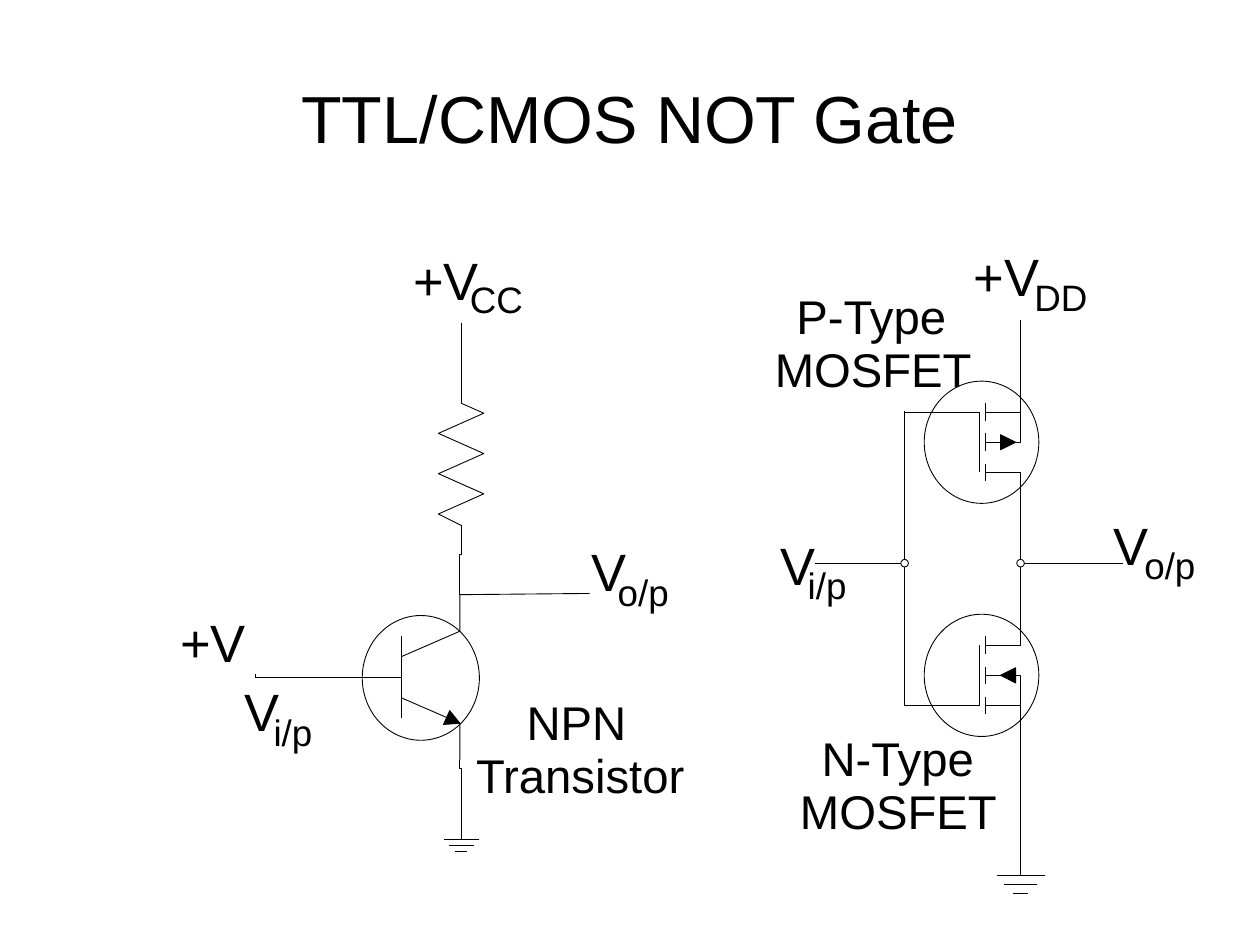
from lxml import etree
from pptx import Presentation
from pptx import util as u
from pptx.dml.color import RGBColor
from pptx.enum import shapes, text
from pptx.oxml.ns import qn

WIDE, HIGH = 10, 7.5
INK, PAPER = "000000", "FFFFFF"
TITLE = "TTL/CMOS NOT Gate"

# Columns and rows of the circuits, in inches
COLL, LOAD = 3.65, 3.66          # transistor and resistor columns
BASE, BASE_Y = 3.19, 5.38
IN, GATE, BAR, OUT = 7.18, 7.77, 7.82, 8.1
NODE_Y = 4.47
STEP = 0.24                      # pitch of the MOSFET contacts
FETS = [(3.51, 1), (5.36, -1)]   # centre row, direction (P, then N)

HEIGHT = {30: 0.5, 27: 0.45, 21: 0.35}
SLACK = 0.03                     # spare width each side, keeps words whole
LABELS = [  # text, size, left, top, width
    ("+V", 30, 3.28, 1.97, 0.52), ("CC", 21, 3.73, 2.2, 0.42),
    ("+V", 30, 1.43, 4.84, 0.52),
    ("V", 30, 4.69, 4.28, 0.28), ("o/p", 21, 4.9, 4.52, 0.41),
    ("V", 30, 1.94, 5.39, 0.28), ("i/p", 21, 2.17, 5.63, 0.31),
    ("+V", 30, 7.73, 1.94, 0.52), ("DD", 21, 8.21, 2.18, 0.42),
    ("V", 30, 6.19, 4.23, 0.28), ("i/p", 21, 6.41, 4.47, 0.31),
    ("V", 30, 8.84, 4.07, 0.28), ("o/p", 21, 9.08, 4.31, 0.41),
    ("NPN", 27, 4.18, 5.5, 0.79), ("Transistor", 27, 3.77, 5.92, 1.67),
    ("N-Type", 27, 6.51, 5.79, 1.23), ("MOSFET", 27, 6.35, 6.21, 1.56),
    ("P-Type", 27, 6.31, 2.28, 1.21), ("MOSFET", 27, 6.15, 2.7, 1.56),
]
OVALS = [  # centre x, centre y, width, height
    (3.34, BASE_Y, 0.93, 0.99),
    *[(7.79, mid, 0.91, 0.97) for mid, _ in FETS],
]
NODES = [(x, NODE_Y, 0.06, 0.06) for x in (IN, OUT)]
WIRES = [
    (LOAD, 2.56, LOAD, 3.2), (COLL, 4.72, 4.68, 4.71),
    (IN, 3.26, IN, 5.6), (6.47, NODE_Y, IN, NODE_Y),
    (OUT, 4.15, OUT, 4.72), (OUT, NODE_Y, 8.91, NODE_Y),
    (OUT, 2.54, OUT, 2.86), (OUT, 6, OUT, 6.29),
]
ZIGZAG = [(LOAD, 3.2), *[(3.48 if i % 2 else 3.84, 3.28 + i * 0.16)
                         for i in range(6)], (LOAD, 4.17)]
NPN = [
    [(2.72, BASE_Y), (BASE, BASE_Y)], [(BASE, 5.7), (BASE, 5.05)],
    [(BASE, 5.21), (COLL, 5.01), (COLL, 4.72)],
    [(BASE, 5.54), (COLL, 5.74), (COLL, 6.03)],
]
LEADS = [
    [(LOAD, 4.17), (LOAD, 4.4), (COLL, 4.4), (COLL, 4.72)],
    [(2.03, 5.35), (2.03, BASE_Y), (2.72, BASE_Y)],
    [(COLL, 6.03), (COLL, 6.1), (LOAD, 6.1), (LOAD, 6.16)],
]
GROUNDS = [  # column, wire top, first bar, half widths, bar gap
    (LOAD, 6.16, 6.66, (0.14, 0.1, 0.05), 0.05),
    (OUT, 6.29, 6.95, (0.19, 0.13, 0.06), 0.07),
]


def rgb(code):
    return RGBColor.from_string(code)


def inch(*vals):
    return [u.Inches(v) for v in vals]


def style(shape, fill=None):
    shape.shadow.inherit = False
    if fill:
        shape.fill.solid()
        shape.fill.fore_color.rgb = rgb(fill)
    else:
        shape.fill.background()
    ink(shape.line)


def ink(line):
    line.color.rgb = rgb(INK)
    line.width = u.Pt(0.5)


def trace(slide, runs, fill=None):
    """Draw point runs as one outline, closed when filled."""
    pen = slide.shapes.build_freeform(*inch(*runs[0][0]))
    for i, run in enumerate(runs):
        if i:
            pen.move_to(*inch(*run[0]))
        pen.add_line_segments([inch(*p) for p in run[1:]], close=bool(fill))
    style(pen.convert_to_shape(), fill)


def wire(slide, ends):
    line = slide.shapes.add_connector(shapes.MSO_CONNECTOR.STRAIGHT, *inch(*ends))
    ink(line.line)
    etree.SubElement(line._element.spPr, qn("a:effectLst"))


def oval(slide, x, y, w, h):
    style(slide.shapes.add_shape(
        shapes.MSO_SHAPE.OVAL, *inch(x - w / 2, y - h / 2, w, h)), PAPER)


def fet(slide, mid, way):
    """Draw MOSFET contacts; way -1 flips them top to bottom."""
    def row(n):
        return mid + way * n * STEP

    trace(slide, [
        [(OUT, row(-1)), (OUT, mid), (BAR, mid)],
        [(IN, row(-1)), (GATE, row(-1)), (GATE, row(1))],
        [(BAR, row(1)), (OUT, row(1)), (OUT, mid + way * 0.64)],
        [(BAR, row(-1)), (OUT, row(-1)), (OUT, mid - way * 0.65)],
        *[[(BAR, row(n) - 0.07), (BAR, row(n) + 0.07)] for n in (-1, 0, 1)],
    ])
    tip, back = 8 + way * 0.06, 8 - way * 0.06
    trace(slide, [[(back, mid - 0.06), (tip, mid), (back, mid + 0.06)]], INK)


def ground(slide, x, top, first, halves, gap):
    bars = [[(x - h, first + i * gap), (x + h, first + i * gap)]
            for i, h in enumerate(halves)]
    trace(slide, [[(x, top), (x, first)], *bars])


def write(frame, words, size):
    para = frame.paragraphs[0]
    para.alignment = text.PP_ALIGN.CENTER
    run = para.add_run()
    run.text = words
    for key, val in {"name": "Arial", "size": u.Pt(size)}.items():
        setattr(run.font, key, val)
    run.font.color.rgb = rgb(INK)


def label(slide, words, size, left, top, width):
    frame = slide.shapes.add_textbox(*inch(
        left - SLACK, top, width + 2 * SLACK, HEIGHT[size])).text_frame
    look = {f"margin_{s}": 0 for s in ("left", "top", "right", "bottom")}
    look |= {"word_wrap": False, "auto_size": text.MSO_AUTO_SIZE.NONE}
    for key, val in look.items():
        setattr(frame, key, val)
    write(frame, words, size)


def main():
    deck = Presentation()
    deck.slide_width, deck.slide_height = inch(WIDE, HIGH)
    slide = deck.slides.add_slide(deck.slide_layouts[5])
    head = slide.shapes.title
    for key, val in zip(("left", "top", "width", "height"),
                        inch(0.5, 0.3, 9, 1.25)):
        setattr(head, key, val)
    head.text_frame.vertical_anchor = text.MSO_ANCHOR.MIDDLE
    write(head.text_frame, TITLE, 38)

    for spot in OVALS:
        oval(slide, *spot)
    for run in (ZIGZAG, *LEADS):
        trace(slide, [run])
    trace(slide, NPN)
    trace(slide, [[(COLL, 5.74), (3.52, 5.75), (3.57, 5.64)]], INK)
    for part in FETS:
        fet(slide, *part)
    for part in GROUNDS:
        ground(slide, *part)
    for ends in WIRES:
        wire(slide, ends)
    for spot in NODES:
        oval(slide, *spot)
    for item in LABELS:
        label(slide, *item)
    deck.save("out.pptx")


if __name__ == "__main__":
    main()
